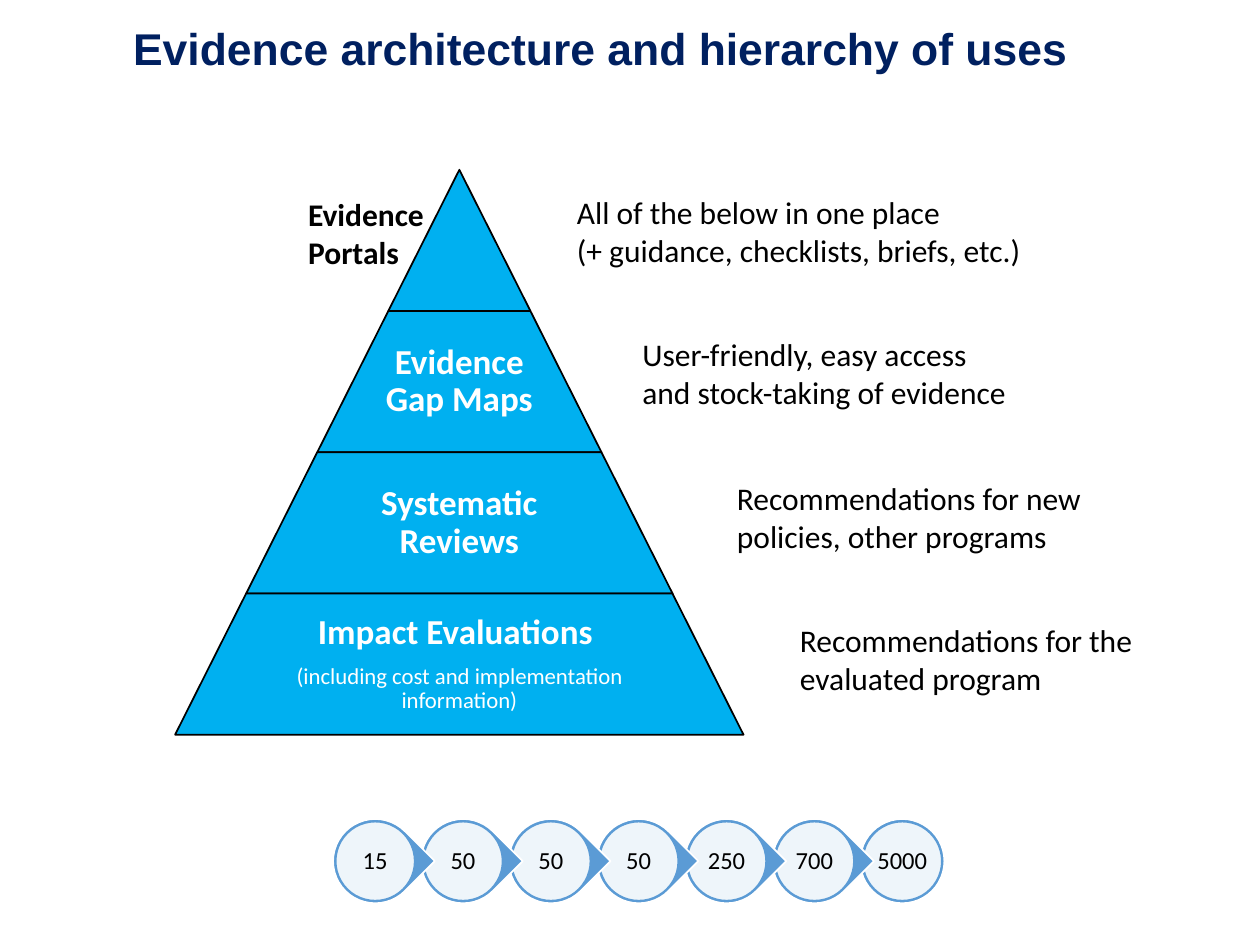
from lxml import etree
from pptx import Presentation
from pptx.dml.color import RGBColor
from pptx.enum.shapes import MSO_SHAPE
from pptx.enum.text import MSO_ANCHOR, PP_ALIGN
from pptx.oxml.ns import qn
from pptx.util import Pt

TRAP, DISC, DROP = MSO_SHAPE.TRAPEZOID, MSO_SHAPE.OVAL, MSO_SHAPE.TEAR
TOP, MIDDLE = MSO_ANCHOR.TOP, MSO_ANCHOR.MIDDLE
LEFT, CENTER = PP_ALIGN.LEFT, PP_ALIGN.CENTER

BLACK = RGBColor(0x00, 0x00, 0x00)
WHITE = RGBColor(0xFF, 0xFF, 0xFF)
NAVY = RGBColor(0x00, 0x20, 0x60)
SKY = RGBColor(0x00, 0xB0, 0xF0)
BLUE = RGBColor(0x5B, 0x9B, 0xD5)

# Pyramid: centre line, top, tier height, width gained per tier
MID, PEAK, TIER, GROW = 262.5, 97, 80.7, 81.2
TIERS = [
    [],
    [("Evidence Gap Maps", 20, True)],
    [("Systematic Reviews", 20, True)],
    [("Impact Evaluations ", 20, True),
     ("(including cost and implementation information)", 13, False)],
]

# Chain: left, top, step, size of a link
START, ROW, STEP, LINK = 190.3, 468, 50.2, 48.2
COUNTS = [15, 50, 50, 50, 250, 700, 5000]

# Left, top, width, lines, bold
NOTES = [
    (169, 108, 88.6, ["Evidence Portals"], True),
    (450, 351.4, 207.4,
     ["Recommendations for the evaluated program"], False),
    (414, 270, 243.4,
     ["Recommendations for new policies, other programs"], False),
    (360, 187.9, 230.4,
     ["User-friendly, easy access and stock-taking of evidence"], False),
    (322.6, 106.6, 288,
     ["All of the below in one place",
      "(+ guidance, checklists, briefs, etc.)"], False),
]


class Page:
    def __init__(self, slide, font="Calibri"):
        self.slide = slide
        self.font = font

    def shape(self, kind, box, fill, line, adjust=None, turn=0, alpha=None):
        """Draw a preset shape; alpha is its opacity in percent."""
        item = self.slide.shapes.add_shape(kind, *map(Pt, box))
        item.shadow.inherit = False
        item.fill.solid()
        item.fill.fore_color.rgb = fill
        item.line.color.rgb = line
        item.line.width = Pt(1)
        item.rotation = turn
        if adjust is not None:
            item.adjustments[0] = adjust
        if alpha is not None:
            color = item.element.spPr.find(qn("a:solidFill"))[0]
            etree.SubElement(color, qn("a:alpha")).set("val", str(alpha * 1000))

    def text(self, box, lines, color=BLACK, font=None, align=LEFT,
             anchor=TOP, inset=None, lead=None, gap=0):
        """Write (text, size, bold) lines; gap is a share of the size."""
        frame = self.slide.shapes.add_textbox(*map(Pt, box)).text_frame
        frame.word_wrap = True
        frame.vertical_anchor = anchor
        if inset is not None:
            frame.margin_left = frame.margin_right = Pt(inset)
            frame.margin_top = frame.margin_bottom = Pt(inset)
        frame.text = "\n".join(line[0] for line in lines)
        for para, (_, size, bold) in zip(frame.paragraphs, lines):
            para.alignment = align
            para.line_spacing = lead
            if gap and para is not frame.paragraphs[-1] and len(lines) > 1:
                para.space_after = Pt(size * gap)
            style = para.runs[0].font
            style.name = font or self.font
            style.size = Pt(size)
            style.bold = bold
            style.color.rgb = color

    def tier(self, rank, lines):
        wide, top = GROW * (rank + 1), PEAK + TIER * rank
        self.shape(TRAP, (MID - wide / 2, top, wide, TIER), SKY, BLACK, 0.503)
        if lines:
            inner = wide * 0.65
            self.text((MID - inner / 2, top, inner, TIER), lines, WHITE,
                      align=CENTER, anchor=MIDDLE, inset=2, lead=0.9, gap=0.35)

    def link(self, rank, count, last):
        left = START + STEP * rank

        def inner(pad):
            return left + pad, ROW + pad, LINK - 2 * pad, LINK - 2 * pad

        if last:
            self.shape(DISC, inner(0), BLUE, WHITE)
        else:
            self.shape(DROP, inner(0), BLUE, WHITE, 1, 45)
        self.shape(DISC, inner(1.5), WHITE, BLUE, alpha=90)
        self.text(inner(8), [(str(count), 14, False)], align=CENTER,
                  anchor=MIDDLE, inset=1.4, lead=0.9)


def main():
    deck = Presentation()
    deck.slide_width, deck.slide_height = Pt(720), Pt(540)
    page = Page(deck.slides.add_slide(deck.slide_layouts[6]))

    for rank, lines in enumerate(TIERS):
        page.tier(rank, lines)

    page.text((69, 12.2, 620.6, 56),
              [("Evidence architecture and hierarchy of uses", 25.4, True)],
              NAVY, "Arial", lead=0.9)

    # Right to left, so that each point lies over the next link
    end = len(COUNTS) - 1
    for rank in range(end, -1, -1):
        page.link(rank, COUNTS[rank], rank == end)

    for left, top, wide, lines, bold in NOTES:
        page.text((left, top, wide, 51),
                  [(line, 18, bold) for line in lines])

    deck.save("out.pptx")


if __name__ == "__main__":
    main()
